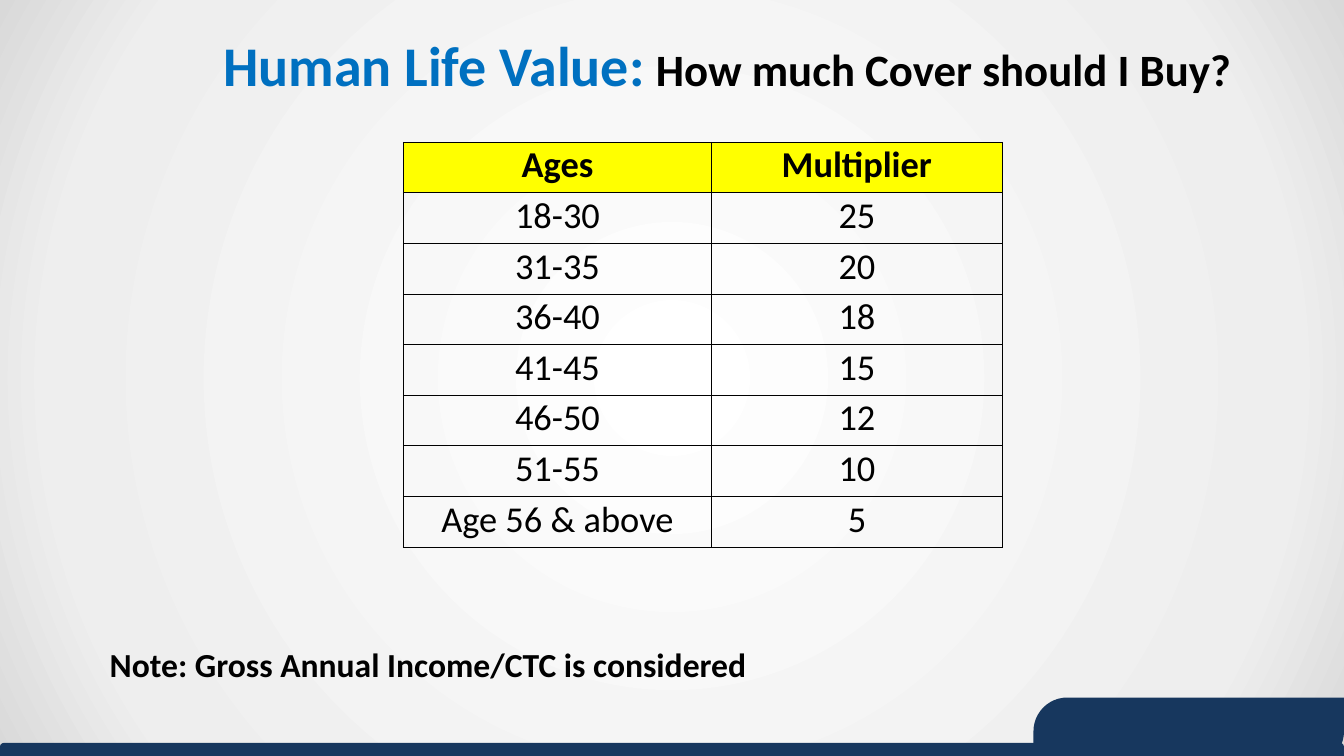
from lxml.etree import SubElement
from pptx import Presentation
from pptx.dml.color import RGBColor
from pptx.enum.shapes import MSO_SHAPE
from pptx.enum.text import MSO_ANCHOR, MSO_AUTO_SIZE, PP_ALIGN
from pptx.oxml import parse_xml
from pptx.oxml.ns import nsdecls, qn
from pptx.util import Inches, Pt

NAVY, BLUE, BLACK, YELLOW = "17375E", "0070C0", "000000", "FFFF00"


def color(hex_value):
    return RGBColor.from_string(hex_value)


def style(font, size, hex_value=BLACK, bold=True):
    font.name, font.size, font.bold = "Calibri", Pt(size), bold
    font.color.rgb = color(hex_value)


deck = Presentation()
deck.slide_width, deck.slide_height = Inches(13.33), Inches(7.5)
slide = deck.slides.add_slide(deck.slide_layouts[5])

# Background: light circle fading to grey corners
stops = "".join(
    f'<a:gs pos="{share * 1000}"><a:srgbClr val="{shade}"/></a:gs>'
    for share, shade in [(0, "FFFFFF"), (81, "EEEEEE"), (100, "D9D9D9")]
)
slide.element.find(qn("p:cSld")).insert(0, parse_xml(
    f'<p:bg {nsdecls("p", "a")}><p:bgPr><a:gradFill rotWithShape="1">'
    f'<a:gsLst>{stops}</a:gsLst><a:path path="circle">'
    '<a:fillToRect l="50000" t="50000" r="50000" b="50000"/></a:path>'
    '</a:gradFill><a:effectLst/></p:bgPr></p:bg>'
))

# Footer band and its corner tab
for preset, left, top, width, height, roundings in [
    (MSO_SHAPE.ROUNDED_RECTANGLE, 0, 7.37, 13.33, 0.22, [0.17]),
    (MSO_SHAPE.ROUND_2_DIAG_RECTANGLE, 10.25, 6.92, 3.08, 0.67, [0.5, 0]),
]:
    band = slide.shapes.add_shape(
        preset, Inches(left), Inches(top), Inches(width), Inches(height))
    for index, rounding in enumerate(roundings):
        band.adjustments[index] = rounding
    band.fill.solid()
    band.fill.fore_color.rgb = color(NAVY)
    band.line.fill.background()
    band.shadow.inherit = False

# Title
title = slide.shapes.title
title.left, title.top = Inches(1.44), Inches(0.25)
title.width, title.height = Inches(11.55), Inches(0.77)
title.text_frame.auto_size = MSO_AUTO_SIZE.NONE
heading = title.text_frame.paragraphs[0]
heading.alignment = PP_ALIGN.CENTER
for words, size, hex_value in [
    ("Human Life Value:", 40, BLUE),
    (" ", 36, BLACK),
    ("How much Cover should I Buy?", 32, BLACK),
]:
    run = heading.add_run()
    run.text = words
    style(run.font, size, hex_value)

# Table of income multipliers by age
multipliers = [
    ("Ages", "Multiplier"),
    ("18-30", "25"),
    ("31-35", "20"),
    ("36-40", "18"),
    ("41-45", "15"),
    ("46-50", "12"),
    ("51-55", "10"),
    ("Age 56 & above", "5"),
]
age_table = slide.shapes.add_table(
    len(multipliers), 2, Inches(4), Inches(1.41), Inches(5.94), Inches(3.98)).table
age_table.first_row = age_table.horz_banding = False
for column, width in zip(age_table.columns, (3.06, 2.88)):
    column.width = Inches(width)

for row_index, entries in enumerate(multipliers):
    is_header = row_index == 0
    for column_index, entry in enumerate(entries):
        cell = age_table.cell(row_index, column_index)
        cell.margin_left = cell.margin_right = cell.margin_top = Inches(0.01)
        cell.margin_bottom = Inches(0.05)
        cell.vertical_anchor = MSO_ANCHOR.BOTTOM
        cell.text_frame.text = entry
        paragraph = cell.text_frame.paragraphs[0]
        paragraph.alignment = PP_ALIGN.CENTER
        style(paragraph.runs[0].font, 26, bold=is_header)
        # Borders come before the fill in the cell properties
        properties = cell._tc.get_or_add_tcPr()
        for side in ("a:lnL", "a:lnR", "a:lnT", "a:lnB"):
            border = SubElement(properties, qn(side), w=str(Pt(0.5)))
            border_fill = SubElement(border, qn("a:solidFill"))
            SubElement(border_fill, qn("a:srgbClr"), val=BLACK)
        if is_header:
            cell.fill.solid()
            cell.fill.fore_color.rgb = color(YELLOW)
        else:
            cell.fill.background()

# Note
note = slide.shapes.add_textbox(
    Inches(0.99), Inches(6.34), Inches(12.13), Inches(0.83)).text_frame
note.word_wrap = True
note.text = "Note: Gross Annual Income/CTC is considered"
style(note.paragraphs[0].runs[0].font, 24)

deck.save("out.pptx")
